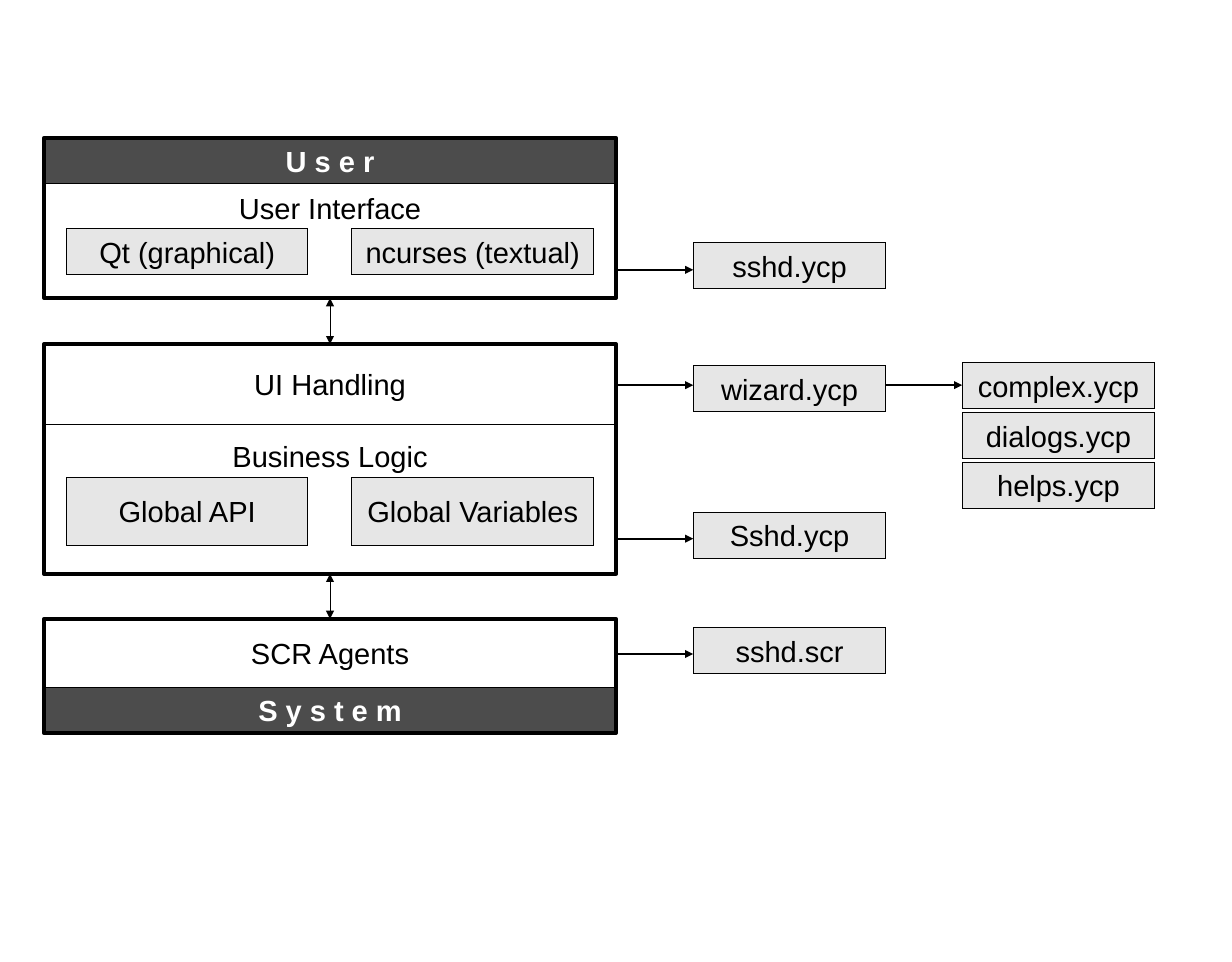
from lxml import etree
from pptx import Presentation
from pptx.dml.color import RGBColor
from pptx.enum.shapes import MSO_CONNECTOR as Connector, MSO_SHAPE as Shape
from pptx.enum.text import MSO_ANCHOR as Anchor, PP_ALIGN as Align
from pptx.oxml.ns import qn
from pptx.util import Inches, Pt

COLORS = {"dark": "4C4C4C", "light": "E6E6E6", "black": "000000", "white": "FFFFFF"}
FONT, TEXT_SIZE = "Arial", 21.4
HAIRLINE, ARROW, FRAME = 0, 1.42, 2.83

# Layers: top, then sections of (text, height, kind, gap above a heading, parts);
# parts: (offset from the section top, height, texts)
LAYERS = [
    (1.41, [
        ("U s e r", 0.47, "bar", None, None),
        ("User Interface", 1.17, "heading", 0.07,
         (0.46, 0.47, ["Qt (graphical)", "ncurses (textual)"])),
    ]),
    (3.52, [
        ("UI Handling", 0.82, "plain", None, None),
        ("Business Logic", 1.53, "heading", 0.15,
         (0.54, 0.7, ["Global API", "Global Variables"])),
    ]),
    (6.33, [
        ("SCR Agents", 0.7, "plain", None, None),
        ("S y s t e m", 0.47, "bar", None, None),
    ]),
]
# Files of each layer: (text, top, height of its arrow)
FILES = [
    ("sshd.ycp", 2.48, 2.76),
    ("wizard.ycp", 3.74, 3.94),
    ("Sshd.ycp", 5.24, 5.51),
    ("sshd.scr", 6.42, 6.69),
]
INCLUDES = ["complex.ycp", "dialogs.ycp", "helps.ycp"]
INCLUDES_TOP, INCLUDES_STEP, INCLUDES_ARROW = 3.71, 0.51, 3.94

LAYER_LEFT, LAYER_WIDTH = 0.45, 5.85
LAYER_RIGHT = LAYER_LEFT + LAYER_WIDTH
PART_INSET, PART_WIDTH = 0.23, 2.47
PART_STEP = LAYER_WIDTH - 2 * PART_INSET - PART_WIDTH
FILE_LEFT, INCLUDE_LEFT = 7.09, 9.84
FILE_WIDTH, FILE_HEIGHT = 1.97, 0.47


def color(name):
    return RGBColor.from_string(COLORS[name])


def style_line(item, width):
    item.line.color.rgb = color("black")
    outline = item._element.spPr.find(qn("a:ln"))
    outline.set("w", str(int(Pt(width))))  # a hairline needs an explicit zero
    return outline


def add_box(slide, left, top, width, height, text="", fill=None,
            line=HAIRLINE, heading_gap=None):
    """Draw a rectangle; a heading_gap puts its text at the top."""
    box = slide.shapes.add_shape(
        Shape.RECTANGLE, *(Inches(v) for v in (left, top, width, height)))
    box.shadow.inherit = False
    if fill:
        box.fill.solid()
        box.fill.fore_color.rgb = color(fill)
    else:
        box.fill.background()
    style_line(box, line)
    if not text:
        return
    frame = box.text_frame
    frame.word_wrap = True
    frame.vertical_anchor = Anchor.MIDDLE
    if heading_gap is not None:
        frame.vertical_anchor = Anchor.TOP
        frame.margin_top = Inches(heading_gap)
    paragraph = frame.paragraphs[0]
    paragraph.alignment = Align.CENTER
    run = paragraph.add_run()
    run.text = text
    run.font.name, run.font.size = FONT, Pt(TEXT_SIZE)
    run.font.bold = fill == "dark"
    run.font.color.rgb = color("white" if fill == "dark" else "black")


def add_arrow(slide, start, end, width=ARROW, both_ends=False):
    arrow = slide.shapes.add_connector(
        Connector.STRAIGHT, *(Inches(v) for v in (*start, *end)))
    outline = style_line(arrow, width)
    for tag in ["a:headEnd", "a:tailEnd"] if both_ends else ["a:tailEnd"]:
        etree.SubElement(outline, qn(tag)).set("type", "triangle")
    etree.SubElement(arrow._element.spPr, qn("a:effectLst"))


def add_layer(slide, top, sections):
    """Draw the sections of a layer and its frame; return its bottom edge."""
    bottom = top
    for text, height, kind, gap, parts in sections:
        add_box(slide, LAYER_LEFT, bottom, LAYER_WIDTH, height, text,
                "dark" if kind == "bar" else None, heading_gap=gap)
        if parts:
            offset, part_height, part_texts = parts
            for column, part in enumerate(part_texts):
                add_box(slide, LAYER_LEFT + PART_INSET + column * PART_STEP,
                        bottom + offset, PART_WIDTH, part_height, part, "light")
        bottom += height
    add_box(slide, LAYER_LEFT, top, LAYER_WIDTH, bottom - top, line=FRAME)
    return bottom


def main():
    deck = Presentation()
    deck.slide_width, deck.slide_height = Inches(12.6), Inches(9.84)
    slide = deck.slides.add_slide(deck.slide_layouts[6])

    middle = LAYER_LEFT + LAYER_WIDTH / 2
    previous_bottom = None
    for top, sections in LAYERS:
        if previous_bottom:
            add_arrow(slide, (middle, previous_bottom), (middle, top),
                      HAIRLINE, both_ends=True)
        previous_bottom = add_layer(slide, top, sections)

    for text, top, arrow_y in FILES:
        add_box(slide, FILE_LEFT, top, FILE_WIDTH, FILE_HEIGHT, text, "light")
        add_arrow(slide, (LAYER_RIGHT, arrow_y), (FILE_LEFT, arrow_y))

    for row, text in enumerate(INCLUDES):
        add_box(slide, INCLUDE_LEFT, INCLUDES_TOP + row * INCLUDES_STEP,
                FILE_WIDTH, FILE_HEIGHT, text, "light")
    add_arrow(slide, (FILE_LEFT + FILE_WIDTH, INCLUDES_ARROW),
              (INCLUDE_LEFT, INCLUDES_ARROW))

    deck.save("out.pptx")


if __name__ == "__main__":
    main()
